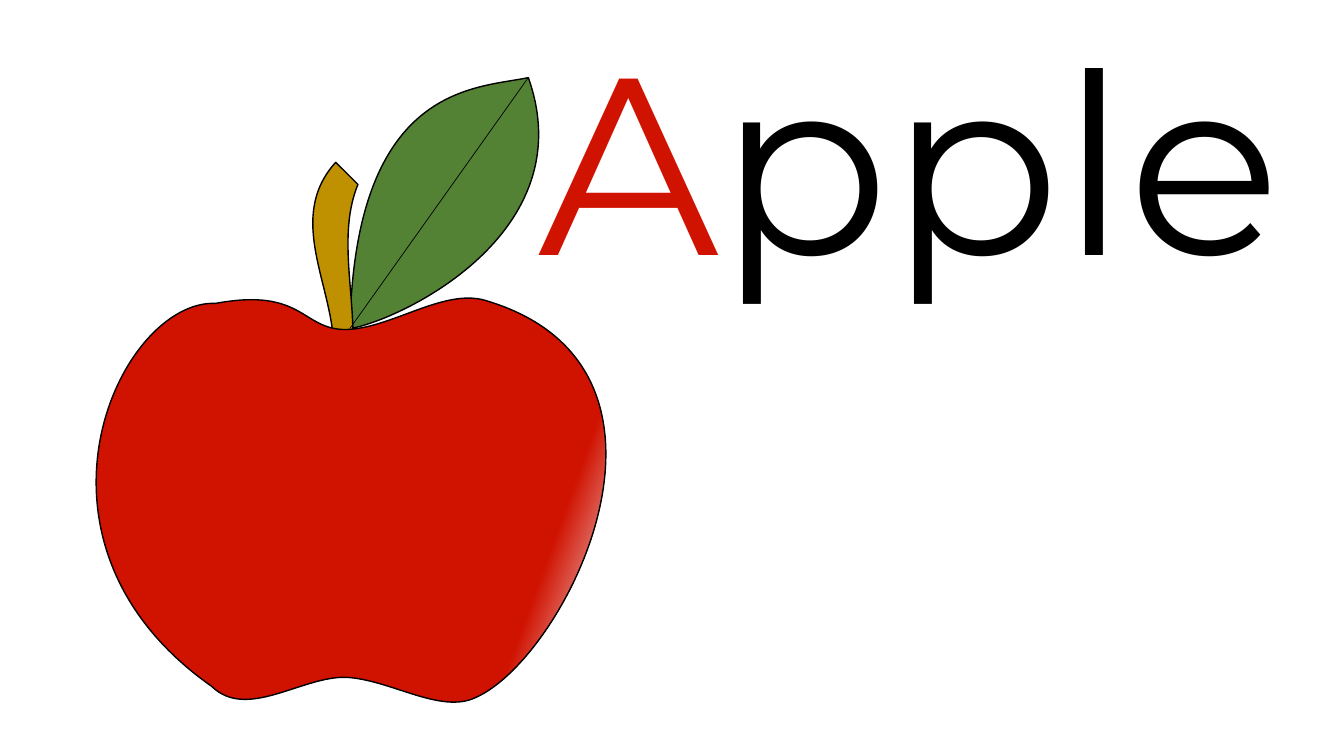
import pptx
import pptx.dml.color
import pptx.enum.shapes
import pptx.enum.text
import pptx.util
import lxml.etree

RED = "D01200"
BLACK = "000000"
STEPS = 32
SPACE = "{http://schemas.openxmlformats.org/drawingml/2006/main}"

LEAF = [[(2.52, 2.49)],
        [(2.57, 0.06), (3.77, 0.11), (4.29, 0)],
        [(4.84, 1.55), (3.01, 2.41), (2.52, 2.49)]]
STEM = [[(2.38, 0.84)],
        [(2.6, 1.06)],
        [(2.4, 1.55), (2.57, 2.13), (2.55, 2.67)],
        [(2.36, 2.69)],
        [(2.36, 2.07), (1.88, 1.39), (2.38, 0.84)]]
FRUIT = [[(1.19, 2.24)],
         [(2.06, 2.08), (2.04, 2.5), (2.48, 2.5)],
         [(2.93, 2.49), (3.45, 2.09), (3.86, 2.21)],
         [(6.11, 2.87), (4.67, 5.75), (3.77, 6.15)],
         [(3.42, 6.32), (2.92, 5.97), (2.48, 5.95)],
         [(2.04, 5.94), (1.5, 6.38), (1.15, 6.04)],
         [(-0.9, 4.6), (0.24, 2.2), (1.19, 2.24)]]


def hue(code):
    return pptx.dml.color.RGBColor.from_string(code)


def blend(a, b, c, d, t):
    s = 1 - t
    return round(s**3 * a + 3 * s * s * t * b + 3 * s * t * t * c + t**3 * d)


def trace(legs):
    points = list(legs[0])
    for leg in legs[1:]:
        if len(leg) == 1:
            points += leg
            continue
        xs, ys = zip(points[-1], *leg)
        points += [(blend(*xs, i / STEPS), blend(*ys, i / STEPS))
                   for i in range(1, STEPS + 1)]
    return points


def place(left, top, point):
    return (pptx.util.Inches(left + point[0]),
            pptx.util.Inches(top + point[1]))


def edge(shape, width):
    shape.line.color.rgb = hue(BLACK)
    shape.line.width = pptx.util.Pt(width)


def curve(shape, legs):
    route = shape._element.xpath(".//a:path")[0]
    for child in list(route):
        route.remove(child)
    for i, leg in enumerate(legs):
        tag = "moveTo" if i == 0 else "lnTo" if len(leg) == 1 else "cubicBezTo"
        part = lxml.etree.SubElement(route, SPACE + tag)
        for x, y in leg:
            lxml.etree.SubElement(part, SPACE + "pt", x=str(x - shape.left),
                                  y=str(y - shape.top))
    lxml.etree.SubElement(route, SPACE + "close")


def form(group, left, top, plan):
    legs = [[place(left, top, point) for point in leg] for leg in plan]
    points = trace(legs)
    pen = group.shapes.build_freeform(*points[0])
    pen.add_line_segments(points[1:], close=True)
    shape = pen.convert_to_shape()
    curve(shape, legs)
    shape.shadow.inherit = False
    edge(shape, 1)
    return shape


def apple(slide, left, top):
    group = slide.shapes.add_group_shape()
    for plan, code in ((LEAF, "548235"), (STEM, "BF9000")):
        shape = form(group, left, top, plan)
        shape.fill.solid()
        shape.fill.fore_color.rgb = hue(code)
    fruit = form(group, left, top, FRUIT)
    fruit.fill.gradient()
    fruit.fill.gradient_angle = 340
    shades = ((0.83, RED), (1, "F6F8FC"))
    for stop, (spot, code) in zip(fruit.fill.gradient_stops, shades):
        stop.position = spot
        stop.color.rgb = hue(code)

    vein = slide.shapes.add_connector(
        pptx.enum.shapes.MSO_CONNECTOR.STRAIGHT,
        *place(left, top, LEAF[0][0]), *place(left, top, LEAF[1][-1]))
    edge(vein, 0.5)
    lxml.etree.SubElement(vein._element.spPr, SPACE + "effectLst")


def title(slide, *box):
    frame = slide.shapes.add_textbox(*map(pptx.util.Inches, box)).text_frame
    frame.word_wrap = True
    frame.auto_size = pptx.enum.text.MSO_AUTO_SIZE.SHAPE_TO_FIT_TEXT
    line = frame.paragraphs[0]
    for text, code in (("A", RED), ("pple", BLACK)):
        run = line.add_run()
        run.text = text
        run.font.name = "Montserrat"
        run.font.size = pptx.util.Pt(180)
        run.font.color.rgb = hue(code)


def main():
    deck = pptx.Presentation()
    deck.slide_width = pptx.util.Inches(13.33)
    deck.slide_height = pptx.util.Inches(7.5)
    slide = deck.slides.add_slide(deck.slide_layouts[6])
    apple(slide, 0.95, 0.77)
    title(slide, 5.24, -0.01, 9.85, 3.13)
    deck.save("out.pptx")


if __name__ == "__main__":
    main()
